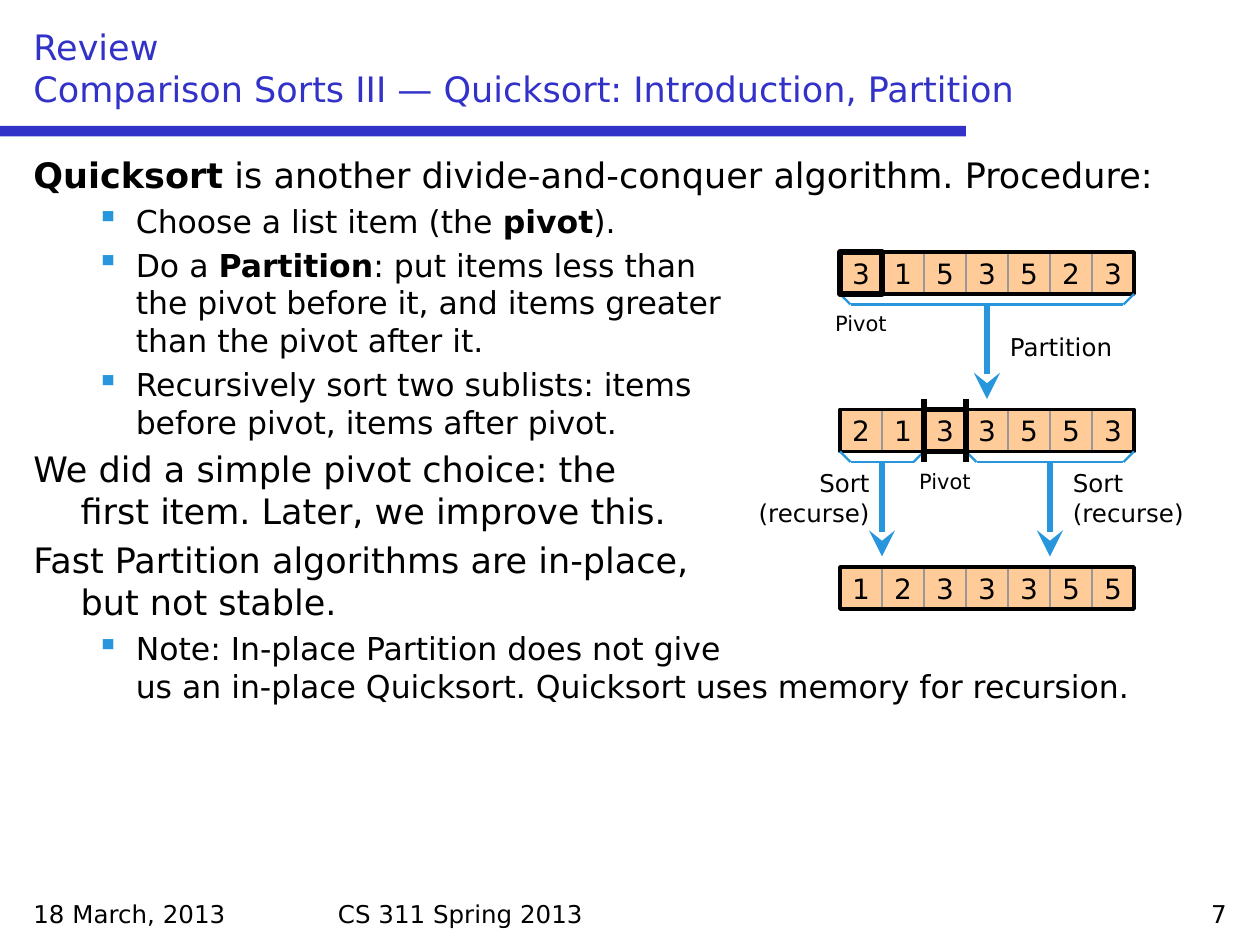
"""Build the Quicksort review slide with its partition diagram."""
import pptx
import pptx.util
import pptx.dml.color
import pptx.enum.shapes
import pptx.enum.text
import pptx.oxml.ns
import lxml.etree

Pt = pptx.util.Pt
ALIGN = pptx.enum.text.PP_ALIGN
ANCHOR = pptx.enum.text.MSO_ANCHOR
RECT = pptx.enum.shapes.MSO_SHAPE.RECTANGLE
LINE = pptx.enum.shapes.MSO_CONNECTOR.STRAIGHT

FONT = "DejaVu Sans"
COLORS = {"title": "3232C8", "text": "000000", "accent": "2896DC",
          "cell": "FFCC99", "grid": "989898"}

TITLE = "Review\nComparison Sorts III — Quicksort: Introduction, Partition"
FOOTER = [
    ("18 March, 2013", 12, 168, ALIGN.LEFT),
    ("CS 311 Spring 2013", 186, 348, ALIGN.LEFT),
    ("7", 540, 168, ALIGN.RIGHT),
]
BODY = [
    (0, "*Quicksort* is another divide-and-conquer algorithm. Procedure:"),
    (1, "Choose a list item (the *pivot*)."),
    (1, "Do a *Partition*: put items less than\nthe pivot before it, "
        "and items greater\nthan the pivot after it."),
    (1, "Recursively sort two sublists: items\nbefore pivot, items after pivot."),
    (0, "We did a simple pivot choice: the\nfirst item. Later, we improve this."),
    (0, "Fast Partition algorithms are in-place,\nbut not stable."),
    (1, "Note: In-place Partition does not give\n"
        "us an in-place Quicksort. Quicksort uses memory for recursion."),
]
LEVELS = [(20, 27, -27), (18, 58.5, -22.5)]

CELL, LEFT, TOP, STEP, DROP = 24, 480, 144, 90, 6
ROWS = [
    {"items": "3153523", "pivot": 0, "spans": [(0, 7)]},
    {"items": "2133553", "pivot": 2, "spans": [(0, 2), (3, 7)]},
    {"items": "1233355", "pivot": None, "spans": []},
]
LABELS = [
    ("Partition", 570, 186, 90, 24, 14, ALIGN.LEFT),
    ("Pivot", 468, 174, 48, 22, 12, ALIGN.CENTER),
    ("Pivot", 516, 264, 48, 22, 12, ALIGN.CENTER),
    ("Sort (recurse)", 414, 264, 90, 42, 14, ALIGN.RIGHT),
    ("Sort (recurse)", 606, 264, 90, 42, 14, ALIGN.LEFT),
]

deck = pptx.Presentation()
deck.slide_width, deck.slide_height = Pt(720), Pt(540)
slide = deck.slides.add_slide(deck.slide_layouts[6])
shapes = slide.shapes


def paint(name):
    return pptx.dml.color.RGBColor.from_string(COLORS[name])


def style(para, size, color="text", align=ALIGN.LEFT):
    para.alignment = align
    for run in para.runs:
        run.font.name = FONT
        run.font.size = Pt(size)
        run.font.color.rgb = paint(color)


def add_text(text, x, y, w, h, size, align=ALIGN.LEFT, color="text",
             anchor=ANCHOR.TOP):
    frame = shapes.add_textbox(Pt(x), Pt(y), Pt(w), Pt(h)).text_frame
    frame.word_wrap = True
    frame.vertical_anchor = anchor
    para = frame.paragraphs[0]
    para.text = text
    style(para, size, color, align)


def add_rect(x, y, w, h, fill=None, line=None, width=1.25, text=""):
    rect = shapes.add_shape(RECT, Pt(x), Pt(y), Pt(w), Pt(h))
    rect.shadow.inherit = False
    if fill:
        rect.fill.solid()
        rect.fill.fore_color.rgb = paint(fill)
    else:
        rect.fill.background()
    if line:
        rect.line.color.rgb = paint(line)
        rect.line.width = Pt(width)
    else:
        rect.line.fill.background()
    if text:
        frame = rect.text_frame
        frame.text = text
        frame.word_wrap = False
        frame.vertical_anchor = ANCHOR.MIDDLE
        style(frame.paragraphs[0], 16, align=ALIGN.CENTER)


def add_line(x1, y1, x2, y2, color="accent", width=1.25, arrow=False):
    line = shapes.add_connector(LINE, Pt(x1), Pt(y1), Pt(x2), Pt(y2))
    line.line.color.rgb = paint(color)
    line.line.width = Pt(width)
    if arrow:
        lxml.etree.SubElement(line.line._get_or_add_ln(),
                              pptx.oxml.ns.qn("a:tailEnd"),
                              type="stealth", w="lg", len="lg")
    lxml.etree.SubElement(line._element.spPr, pptx.oxml.ns.qn("a:effectLst"))


def add_bullet(props):
    tint = lxml.etree.SubElement(props, pptx.oxml.ns.qn("a:buClr"))
    lxml.etree.SubElement(tint, pptx.oxml.ns.qn("a:srgbClr"),
                          val=COLORS["accent"])
    lxml.etree.SubElement(props, pptx.oxml.ns.qn("a:buChar"), char="▪")


def add_body():
    frame = shapes.add_textbox(Pt(12), Pt(84), Pt(696), Pt(420)).text_frame
    frame.word_wrap = True
    for row, (level, text) in enumerate(BODY):
        para = frame.add_paragraph() if row else frame.paragraphs[0]
        size, margin, indent = LEVELS[level]
        para.level = level
        if row:
            para.space_before = Pt(size * 0.2)
        props = para._p.get_or_add_pPr()
        props.set("marL", str(Pt(margin)))
        props.set("indent", str(Pt(indent)))
        if level:
            add_bullet(props)
        for part, piece in enumerate(text.split("*")):
            for count, words in enumerate(piece.split("\n")):
                if count:
                    para.add_line_break()
                if words:
                    run = para.add_run()
                    run.text = words
                    run.font.bold = part % 2 == 1
        style(para, size)


def add_row(y, items, pivot, spans):
    base = y + CELL
    for col, item in enumerate(items):
        if col != pivot:
            add_rect(LEFT + col * CELL, y, CELL, CELL, "cell", "grid", text=item)
    add_rect(LEFT, y, len(items) * CELL, CELL, line="text", width=2)
    for first, last in spans:
        x1, x2 = LEFT + first * CELL, LEFT + last * CELL
        mid = (x1 + x2) / 2
        low = base + DROP
        add_line(x1, base, x1 + DROP, low)
        add_line(x1 + DROP, low, x2 - DROP, low)
        add_line(x2, base, x2 - DROP, low)
        add_line(mid, low, mid, y + STEP - DROP, width=3, arrow=True)
    if pivot is not None:
        x = LEFT + pivot * CELL
        add_rect(x, y, CELL, CELL, "cell", "text", 3, items[pivot])
        if pivot:
            for edge in (x, x + CELL):
                add_line(edge, y - DROP, edge, base + DROP, "text", 3)


add_rect(0, 72, 552, 6, "title")
for text, x, w, align in FOOTER:
    add_text(text, x, 510, w, 24, 14, align)
add_text(TITLE, 12, 12, 696, 54, 20, color="title", anchor=ANCHOR.BOTTOM)
add_body()
for index, row in enumerate(ROWS):
    add_row(TOP + index * STEP, **row)
for label in LABELS:
    add_text(*label)
deck.save("out.pptx")
